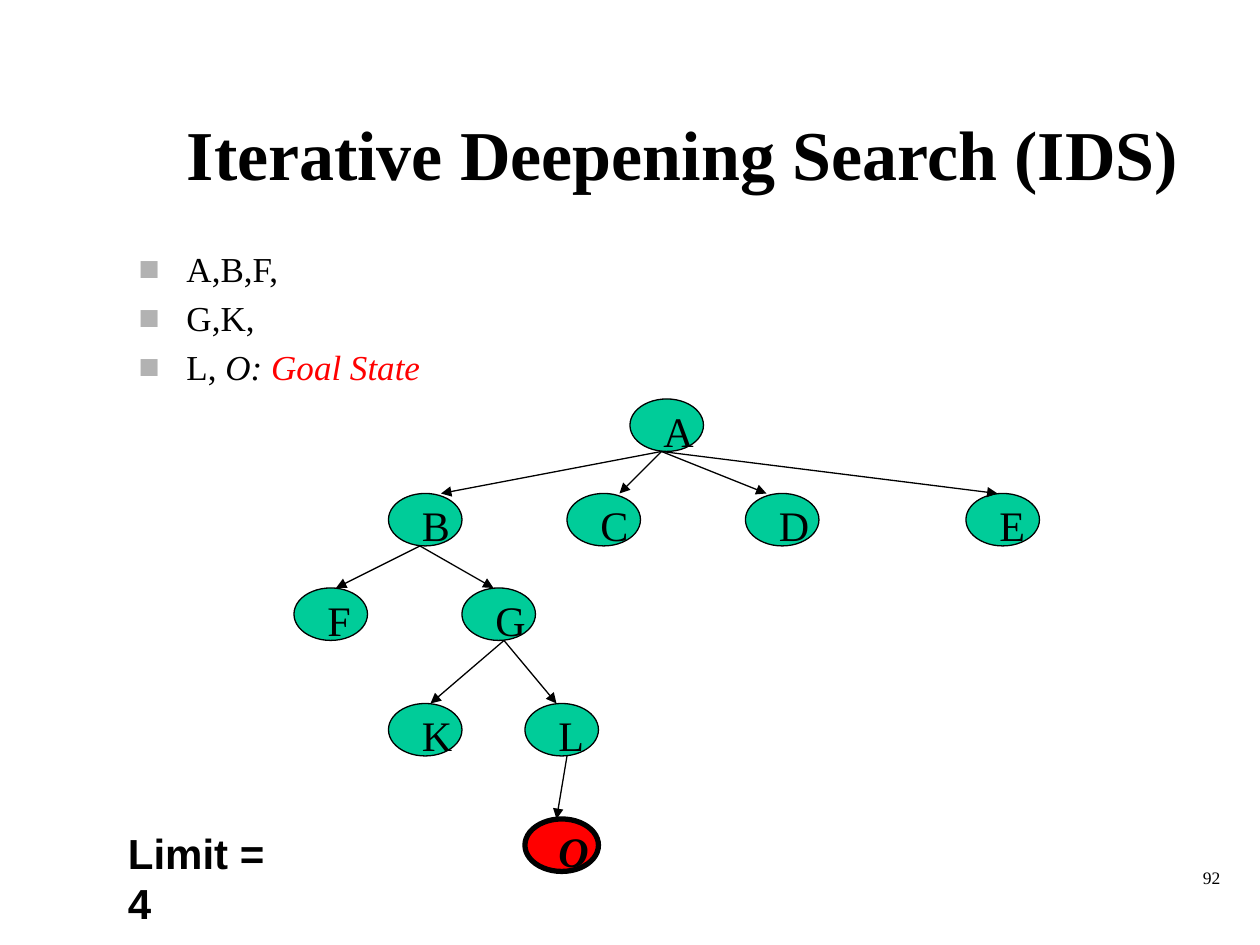
from lxml.etree import SubElement
from pptx import Presentation
from pptx.dml.color import RGBColor
from pptx.enum.shapes import MSO_CONNECTOR as Connector, MSO_SHAPE as Shape
from pptx.enum.text import MSO_ANCHOR as Anchor, MSO_AUTO_SIZE as AutoSize, PP_ALIGN as Align
from pptx.oxml.ns import qn
from pptx.util import Inches, Pt

BLACK = RGBColor(0x00, 0x00, 0x00)
GREEN = RGBColor(0x00, 0xCC, 0x99)
RED = RGBColor(0xFF, 0x00, 0x00)
BULLET_GREY = RGBColor(0xB2, 0xB2, 0xB2)
SERIF, SANS = "Times New Roman", "Arial"

COLS, ROWS = 120, 90
CELL = Inches(10) // COLS
NODE_COLS, NODE_ROWS = 7, 5

# Left column and top row of each node
NODES = {
    "A": (60, 38),
    "B": (37, 47), "C": (54, 47), "E": (92, 47), "D": (71, 47),
    "F": (28, 56), "G": (44, 56),
    "K": (37, 67), "L": (50, 67),
}
GOAL = ("O", (50, 78))

# Where the branches leave a parent, and where they reach its children
BRANCHES = [
    ((63, 43), [(42, 47), (59, 47), (73, 47), (95, 47)]),
    ((40, 52), [(32, 56), (47, 56)]),
    ((48, 61), [(41, 67), (53, 67)]),
    ((54, 72), [(53, 78)]),
]

VISITED = [
    [("A,B,F,", False, BLACK)],
    [("G,K,", False, BLACK)],
    [("L, ", False, BLACK), ("O: ", True, BLACK), ("Goal State", True, RED)],
]


def cells(*counts):
    return [round(count * CELL) for count in counts]


class TreeSlide:
    def __init__(self, deck):
        self.slide = deck.slides.add_slide(deck.slide_layouts[1])

    def style(self, paragraph, size, face=SERIF, bold=False, italic=False):
        font = paragraph.font
        font.name, font.size = face, Pt(size)
        font.bold, font.italic = bold, italic
        font.color.rgb = BLACK

    def place(self, placeholder, left, top, width, height):
        box = cells(left, top, width, height)
        placeholder.left, placeholder.top, placeholder.width, placeholder.height = box
        placeholder.text_frame.auto_size = AutoSize.NONE
        return placeholder.text_frame

    def title(self, text, *box):
        frame = self.place(self.slide.shapes.title, *box)
        frame.text = text
        frame.vertical_anchor = Anchor.MIDDLE
        heading = frame.paragraphs[0]
        heading.alignment = Align.CENTER
        self.style(heading, 40, bold=True)

    def bullets(self, items, *box):
        frame = self.place(self.slide.placeholders[1], *box)
        frame.vertical_anchor = Anchor.TOP
        for index, item in enumerate(items):
            line = frame.add_paragraph() if index else frame.paragraphs[0]
            line.space_before = Pt(4 if index else 0)
            self.style(line, 20)
            for text, italic, color in item:
                run = line.add_run()
                run.text = text
                run.font.italic = italic
                run.font.color.rgb = color
            self.square_bullet(line)

    def square_bullet(self, paragraph):
        props = paragraph._p.get_or_add_pPr()
        indent = Inches(0.38)
        props.set("marL", str(indent))
        props.set("indent", str(-indent))
        color = SubElement(props, qn("a:buClr"))
        SubElement(color, qn("a:srgbClr"), val=str(BULLET_GREY))
        SubElement(props, qn("a:buFont"), typeface=SANS)
        SubElement(props, qn("a:buChar"), char="■")

    def label(self, text, left, top, width, height, size=24, parent=None,
              align=Align.LEFT, **look):
        shapes = (parent or self.slide).shapes
        frame = shapes.add_textbox(*cells(left, top, width, height)).text_frame
        frame.word_wrap = True
        frame.auto_size = AutoSize.SHAPE_TO_FIT_TEXT
        frame.text = text
        frame.paragraphs[0].alignment = align
        self.style(frame.paragraphs[0], size, **look)

    def node(self, name, left, top, fill=GREEN, line_width=0.75, **look):
        group = self.slide.shapes.add_group_shape()
        oval = group.shapes.add_shape(
            Shape.OVAL, *cells(left, top, NODE_COLS, NODE_ROWS))
        oval.shadow.inherit = False
        oval.fill.solid()
        oval.fill.fore_color.rgb = fill
        oval.line.color.rgb = BLACK
        oval.line.width = Pt(line_width)
        self.label(name, left + 2, top, 5, 4.8, parent=group, **look)

    def arrow(self, start, end):
        branch = self.slide.shapes.add_connector(
            Connector.STRAIGHT, *cells(*start, *end))
        branch.line.color.rgb = BLACK
        branch.line.width = Pt(0.75)
        SubElement(branch.line._get_or_add_ln(), qn("a:tailEnd"), type="triangle")
        SubElement(branch._element.spPr, qn("a:effectLst"))


def main():
    deck = Presentation()
    deck.slide_width, deck.slide_height = cells(COLS, ROWS)
    tree = TreeSlide(deck)
    tree.label("92", 92.4, 82, 25, 6, size=10, align=Align.RIGHT)
    tree.title("Iterative Deepening Search (IDS)", 14, 7, 102, 15)
    tree.bullets(VISITED, 12, 23, 102, 11)
    for name, corner in NODES.items():
        tree.node(name, *corner)
    goal_name, goal_corner = GOAL
    tree.node(goal_name, *goal_corner, fill=RED, line_width=3, bold=True, italic=True)
    for start, ends in BRANCHES:
        for end in ends:
            tree.arrow(start, end)
    tree.label("Limit = 4", 11, 78.2, 16, 4.8, face=SANS, bold=True)
    deck.save("out.pptx")


if __name__ == "__main__":
    main()
